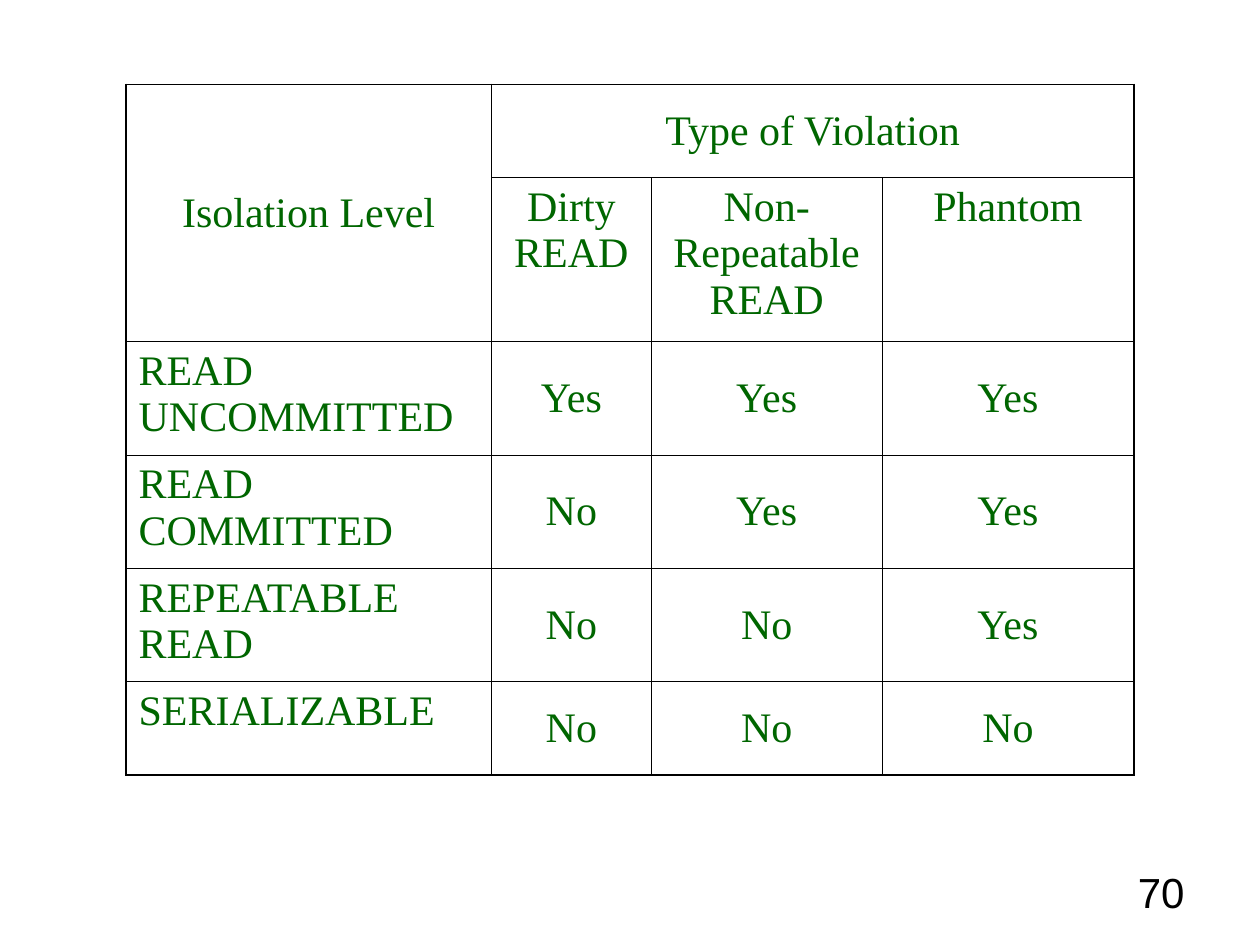
import pptx
import pptx.util
import pptx.dml.color
import pptx.enum.text
import pptx.oxml
import pptx.oxml.ns

Inches, Pt = pptx.util.Inches, pptx.util.Pt
PP_ALIGN = pptx.enum.text.PP_ALIGN
ANCHOR = pptx.enum.text.MSO_ANCHOR

ROWS = [
    ["Isolation Level", "Type of Violation", "", ""],
    ["", "Dirty READ", "Non-Repeatable READ", "Phantom"],
    ["READ UNCOMMITTED", "Yes", "Yes", "Yes"],
    ["READ COMMITTED", "No", "Yes", "Yes"],
    ["REPEATABLE READ", "No", "No", "Yes"],
    ["SERIALIZABLE", "No", "No", "No"],
]
PAGE_NUMBER = "70"
COLUMN_WIDTHS = [2.9, 1.27, 1.83, 2]
ROW_HEIGHTS = [0.74, 1.3, 0.9, 0.9, 0.9, 0.74]
MERGES = [((0, 0), (1, 0)), ((0, 1), (0, 3))]
COLORS = {"text": "006600", "line": "000000", "number": "000000"}
OUTER_LINE, INNER_LINE = 1.08, 0.45


def write(text_frame, text, font_name, color, alignment):
    text_frame.text = text
    paragraph = text_frame.paragraphs[0]
    paragraph.alignment = alignment
    for run in paragraph.runs:
        run.font.name = font_name
        run.font.size = Pt(24)
        run.font.color.rgb = pptx.dml.color.RGBColor.from_string(color)


def set_borders(cell, row, column):
    outer_edges = {
        "lnL": column == 0,
        "lnR": column + cell.span_width == len(COLUMN_WIDTHS),
        "lnT": row == 0,
        "lnB": row + cell.span_height == len(ROW_HEIGHTS),
    }
    properties = cell._tc.get_or_add_tcPr()
    for position, (tag, is_outer) in enumerate(outer_edges.items()):
        width = Pt(OUTER_LINE if is_outer else INNER_LINE)
        properties.insert(position, pptx.oxml.parse_xml(
            f'<a:{tag} {pptx.oxml.ns.nsdecls("a")} w="{width}"><a:solidFill>'
            f'<a:srgbClr val="{COLORS["line"]}"/></a:solidFill></a:{tag}>'))


def cell_layout(row, column):
    if row >= 2 and column == 0:
        return PP_ALIGN.LEFT, ANCHOR.TOP
    if row == 1:
        return PP_ALIGN.CENTER, ANCHOR.TOP
    return PP_ALIGN.CENTER, ANCHOR.MIDDLE


def add_isolation_table(slide):
    table = slide.shapes.add_table(
        len(ROW_HEIGHTS), len(COLUMN_WIDTHS), Inches(1), Inches(0.67),
        Inches(sum(COLUMN_WIDTHS)), Inches(sum(ROW_HEIGHTS))).table
    table.first_row = table.horz_banding = False
    for column, width in zip(table.columns, COLUMN_WIDTHS):
        column.width = Inches(width)
    for row, height in zip(table.rows, ROW_HEIGHTS):
        row.height = Inches(height)
    for first, last in MERGES:
        table.cell(*first).merge(table.cell(*last))
    for row, texts in enumerate(ROWS):
        for column, text in enumerate(texts):
            cell = table.cell(row, column)
            cell.fill.background()
            if cell.is_spanned:
                continue
            alignment, cell.vertical_anchor = cell_layout(row, column)
            write(cell.text_frame, text, "Times New Roman", COLORS["text"], alignment)
            set_borders(cell, row, column)


def add_page_number(slide):
    box = slide.shapes.add_textbox(Inches(7.17), Inches(6.83), Inches(2.33), Inches(0.52))
    box.text_frame.word_wrap = True
    write(box.text_frame, PAGE_NUMBER, "Arial", COLORS["number"], PP_ALIGN.RIGHT)


def main():
    presentation = pptx.Presentation()
    presentation.slide_width, presentation.slide_height = Inches(10), Inches(7.5)
    slide = presentation.slides.add_slide(presentation.slide_layouts[6])
    add_page_number(slide)
    add_isolation_table(slide)
    presentation.save("out.pptx")


if __name__ == "__main__":
    main()
